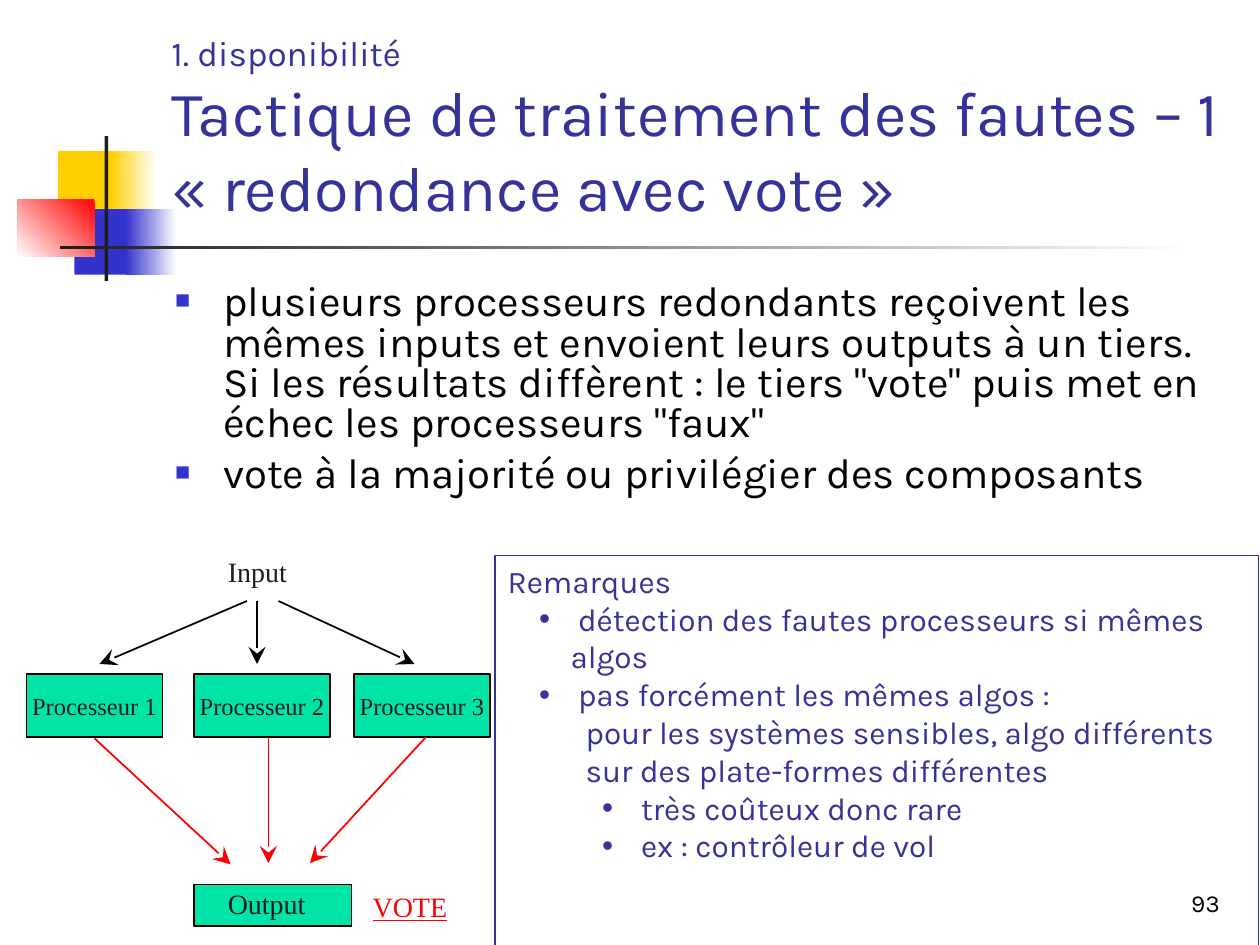
import copy
from dataclasses import dataclass

import pptx
import pptx.util
import pptx.dml.color
import pptx.enum.shapes
import pptx.enum.text
import pptx.oxml
import pptx.oxml.ns
from pptx.util import Inches

RGB = pptx.dml.color.RGBColor.from_string
ALIGN = pptx.enum.text.PP_ALIGN
ANCHOR = pptx.enum.text.MSO_ANCHOR
AUTO_SIZE = pptx.enum.text.MSO_AUTO_SIZE
RECT = pptx.enum.shapes.MSO_SHAPE.RECTANGLE
STRAIGHT = pptx.enum.shapes.MSO_CONNECTOR.STRAIGHT
qn = pptx.oxml.ns.qn


@dataclass(frozen=True)
class Theme:
    sans: str = "Karla"
    serif: str = "Times New Roman"
    white: str = "FFFFFF"
    black: str = "000000"
    dark: str = "1C1C1C"
    navy: str = "333399"
    blue: str = "3333CC"
    yellow: str = "FFCF01"
    red: str = "FF0000"
    green: str = "00E4A8"
    title: int = 36
    body: int = 24
    kicker: int = 20
    remark: int = 18
    label: int = 16
    small: int = 14


T = Theme()


def add_text(p, text, size, color, font=T.sans):
    """Add one run per line of text, joined by line breaks of the same size."""
    for i, line in enumerate(text.split("\n")):
        if i:
            p.add_line_break()
            p._p[-1].append(copy.deepcopy(r._r.rPr))
        r = p.add_run()
        r.text = line
        r.font.size = pptx.util.Pt(size)
        r.font.name = font
        r.font.color.rgb = RGB(color)
    return r


def set_indent(p, left, hang=0, bullet=None, color=T.navy, percent=100):
    """Set the left margin in inches, and a hanging bullet or none."""
    pPr = p._p.get_or_add_pPr()
    pPr.set("marL", str(Inches(left)))
    pPr.set("indent", str(Inches(-hang)))
    if bullet:
        clr = pPr.makeelement(qn("a:buClr"), {})
        clr.append(clr.makeelement(qn("a:srgbClr"), {"val": color}))
        pPr.append(clr)
        for tag, attrs in (("a:buSzPct", {"val": str(percent * 1000)}),
                           ("a:buFont", {"typeface": "Arial"}),
                           ("a:buChar", {"char": bullet})):
            pPr.append(pPr.makeelement(qn(tag), attrs))
    else:
        pPr.append(pPr.makeelement(qn("a:buNone"), {}))


prs = pptx.Presentation()
prs.slide_width, prs.slide_height = Inches(10), Inches(7.5)
s = prs.slides.add_slide(prs.slide_layouts[1])
title, body = s.placeholders

# Decoration: start colour, end colour (None for solid), counterclockwise angle
decoration = [
    (0.46, 1.2, 0.48, 0.52, T.yellow, None, 0),
    (0.88, 1.2, 0.36, 0.52, T.white, T.yellow, 180),
    (0.59, 1.66, 0.46, 0.52, T.blue, None, 0),
    (1, 1.66, 0.4, 0.52, T.white, T.blue, 180),
    (0.14, 1.58, 0.61, 0.46, T.red, T.white, 225),
    (0.83, 1.08, 0.03, 1.15, T.dark, None, 0),
    (0.48, 1.95, 9, 0.03, T.white, T.dark, 180),
]
for x, y, w, h, start, end, angle in decoration:
    sp = s.shapes.add_shape(RECT, Inches(x), Inches(y), Inches(w), Inches(h))
    sp.shadow.inherit = False
    sp.line.fill.background()
    if end is None:
        sp.fill.solid()
        sp.fill.fore_color.rgb = RGB(start)
    else:
        sp.fill.gradient()
        sp.fill.gradient_angle = angle
        for stop, color in zip(sp.fill.gradient_stops, (start, end)):
            stop.color.rgb = RGB(color)

# Title and list, in front of the decoration
for sp, (x, y, w, h), anchor in ((title, (1.26, 0.23, 8.7, 1.6), ANCHOR.BOTTOM),
                                 (body, (1.29, 2.21, 8.5, 2.17), ANCHOR.TOP)):
    s.shapes._spTree.append(sp._element)
    sp.left, sp.top, sp.width, sp.height = Inches(x), Inches(y), Inches(w), Inches(h)
    tf = sp.text_frame
    tf.auto_size = AUTO_SIZE.NONE
    tf.vertical_anchor = anchor

p = title.text_frame.paragraphs[0]
p.alignment = ALIGN.LEFT
r = add_text(p, "1. disponibilité", T.kicker, T.navy)
p.add_line_break()
p._p[-1].append(copy.deepcopy(r._r.rPr))
add_text(p, "Tactique de traitement des fautes – 1\n« redondance avec vote »", T.title, T.navy)

points = [
    "plusieurs processeurs redondants reçoivent les mêmes inputs et envoient leurs "
    "outputs à un tiers.\nSi les résultats diffèrent : le tiers \"vote\" puis met en "
    "échec les processeurs \"faux\"",
    "vote à la majorité ou privilégier des composants",
]
tf = body.text_frame
for i, text in enumerate(points):
    p = tf.add_paragraph() if i else tf.paragraphs[0]
    p.line_spacing = 0.8
    p.space_before = pptx.util.Pt(6 if i else 0)
    set_indent(p, 0.38, 0.38, "■", T.blue, 60)
    add_text(p, text, T.body, T.black)

# Boxes of the voting diagram
boxes = [(1.54, 7.02, 1.25, 0.33, "")]
boxes += [(x, 5.35, 1.08, 0.5, f"Processeur {n}")
          for n, x in enumerate((0.21, 1.54, 2.81), 1)]
for x, y, w, h, text in boxes:
    sp = s.shapes.add_shape(RECT, Inches(x), Inches(y), Inches(w), Inches(h))
    sp.shadow.inherit = False
    sp.fill.solid()
    sp.fill.fore_color.rgb = RGB(T.green)
    sp.line.color.rgb = RGB(T.black)
    sp.line.width = pptx.util.Pt(1)
    if text:
        tf = sp.text_frame
        tf.word_wrap = False
        tf.vertical_anchor = ANCHOR.MIDDLE
        tf.paragraphs[0].alignment = ALIGN.CENTER
        add_text(tf.paragraphs[0], text, T.small, T.dark, T.serif)

# Arrows from the input to the processors, then to the output
arrows = [
    (1.96, 4.77, 0.79, 5.27, T.black),
    (2.04, 4.77, 2.04, 5.27, T.black),
    (2.21, 4.77, 3.29, 5.27, T.black),
    (0.75, 5.86, 1.83, 6.86, T.red),
    (2.13, 5.85, 2.13, 6.85, T.red),
    (3.38, 5.85, 2.46, 6.85, T.red),
]
for x1, y1, x2, y2, color in arrows:
    cxn = s.shapes.add_connector(STRAIGHT, Inches(x1), Inches(y1), Inches(x2), Inches(y2))
    cxn.line.color.rgb = RGB(color)
    cxn.line.width = pptx.util.Pt(1)
    ln = cxn.line._get_or_add_ln()
    ln.append(ln.makeelement(qn("a:tailEnd"), {"type": "stealth", "w": "lg", "len": "lg"}))
    spPr = cxn._element.spPr
    spPr.append(spPr.makeelement(qn("a:effectLst"), {}))

# Labels, wide enough to stay on one line, and page number
labels = [
    (1.71, 4.35, 0.75, 0.37, "Input", T.label, T.dark, T.serif),
    (1.71, 6.99, 0.95, 0.37, "Output", T.label, T.dark, T.serif),
    (2.86, 7.01, 0.9, 0.37, "VOTE", T.label, T.red, T.serif),
    (7.7, 6.83, 2.08, 0.5, "93", T.small, T.black, T.sans),
]
for x, y, w, h, text, size, color, font in labels:
    sp = s.shapes.add_textbox(Inches(x), Inches(y), Inches(w), Inches(h))
    tf = sp.text_frame
    tf.word_wrap = True
    r = add_text(tf.paragraphs[0], text, size, color, font)
    if text == "VOTE":
        r.font.underline = True
    if text == "93":
        tf.vertical_anchor = ANCHOR.BOTTOM
        tf.paragraphs[0].alignment = ALIGN.RIGHT

# Remarks: text, left margin, hanging indent, bullet
remarks = [
    ("Remarques", 0, 0, None),
    ("détection des fautes processeurs si mêmes", 0.56, 0.31, "•"),
    ("algos", 0.5, 0, None),
    ("pas forcément les mêmes algos :", 0.56, 0.31, "•"),
    ("pour les systèmes sensibles, algo différents\nsur des plate-formes différentes", 0.62, 0, None),
    ("très coûteux donc rare", 1.06, 0.31, "•"),
    ("ex : contrôleur de vol", 1.06, 0.31, "•"),
]
sp = s.shapes.add_shape(RECT, Inches(3.93), Inches(4.41), Inches(6.06), Inches(3.14))
sp.shadow.inherit = False
sp.fill.background()
sp.line.color.rgb = RGB(T.navy)
sp.line.width = pptx.util.Pt(1)
tf = sp.text_frame
tf.word_wrap = True
tf.vertical_anchor = ANCHOR.TOP
for i, (text, left, hang, bullet) in enumerate(remarks):
    p = tf.add_paragraph() if i else tf.paragraphs[0]
    p.alignment = ALIGN.LEFT
    set_indent(p, left, hang, bullet)
    add_text(p, text, T.remark, T.navy)

prs.save("out.pptx")
